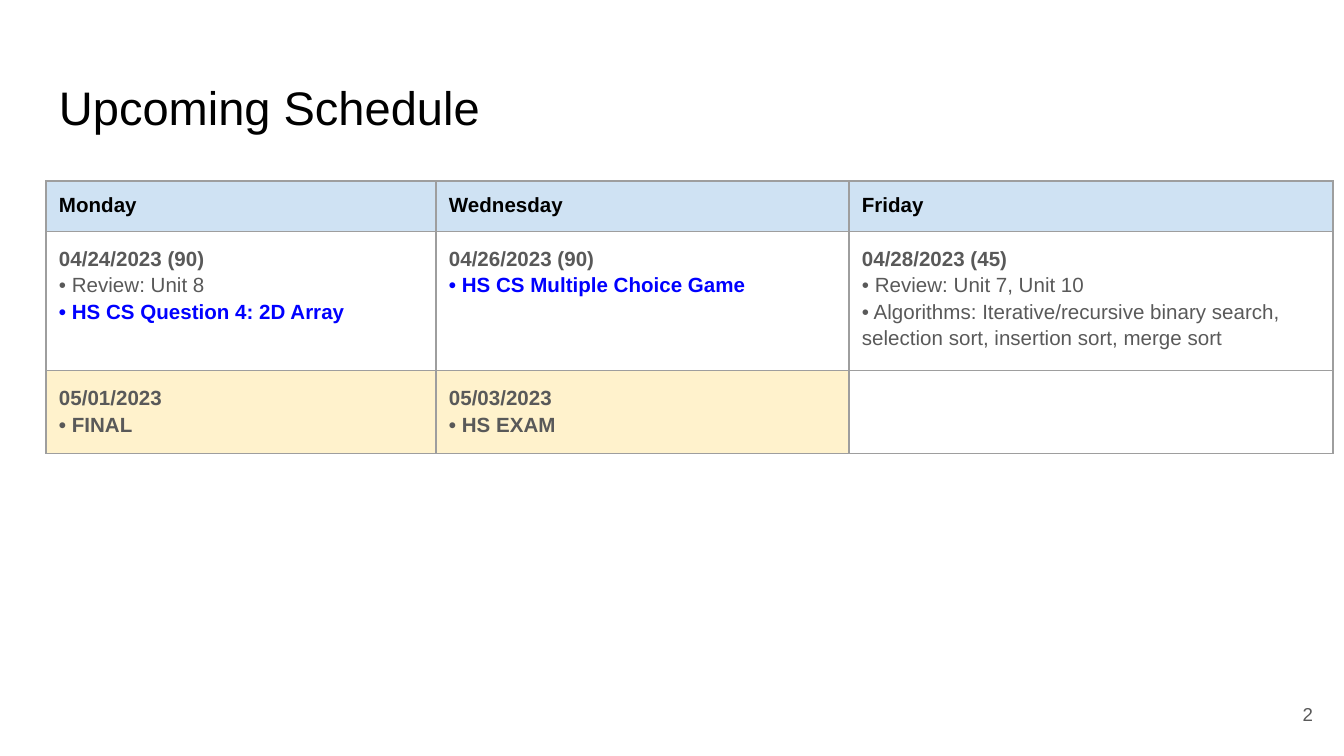
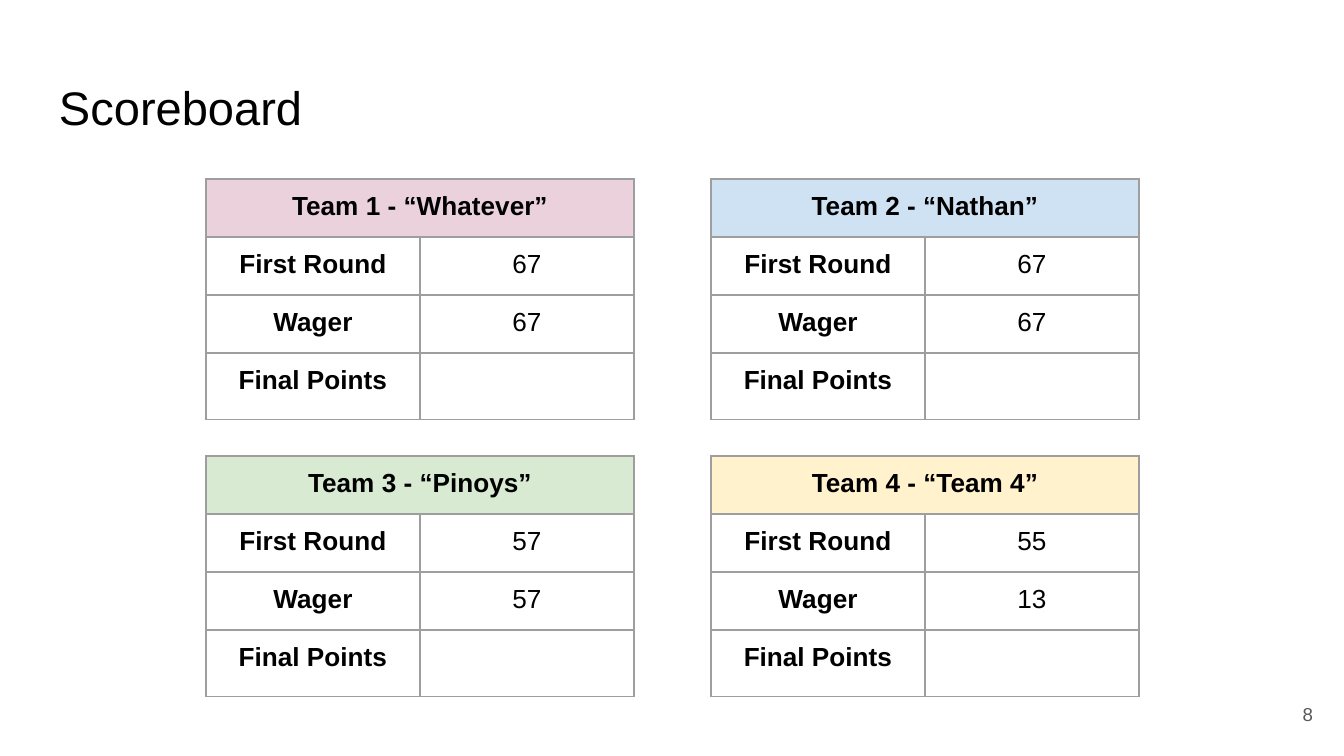
import copy

import pptx
import pptx.dml.color
import pptx.enum.text
import pptx.oxml
import pptx.oxml.ns
import pptx.util

RGBColor = pptx.dml.color.RGBColor
Align = pptx.enum.text.PP_ALIGN
Anchor = pptx.enum.text.MSO_ANCHOR

BLACK = RGBColor(0x00, 0x00, 0x00)
GRAY = RGBColor(0x59, 0x59, 0x59)
LINK_BLUE = RGBColor(0x00, 0x00, 0xFF)
BORDER = RGBColor(0x9E, 0x9E, 0x9E)
PINK = RGBColor(0xEA, 0xD1, 0xDC)
LIGHT_BLUE = RGBColor(0xCF, 0xE2, 0xF3)
GREEN = RGBColor(0xD9, 0xEA, 0xD3)
YELLOW = RGBColor(0xFF, 0xF2, 0xCC)

FONT = "Arial"
INSET = 13
LEFT_EDGE = 46
TITLE_ONLY = 5

WEEKDAYS = ["Monday", "Wednesday", "Friday"]
# Each day: fill, then (text, format) pieces.
WEEKS = [
    [
        (None, [("04/24/2023 (90)\n", {"bold": True}),
                ("• Review: Unit 8\n", {}),
                ("• HS CS Question 4: 2D Array", {"bold": True, "color": LINK_BLUE})]),
        (None, [("04/26/2023 (90)\n", {"bold": True}),
                ("• HS CS Multiple Choice Game", {"bold": True, "color": LINK_BLUE})]),
        (None, [("04/28/2023 (45)\n", {"bold": True}),
                ("• Review: Unit 7, Unit 10\n• Algorithms: Iterative/recursive binary search, "
                 "selection sort, insertion sort, merge sort", {})]),
    ],
    [
        (YELLOW, [("05/01/2023\n• FINAL", {"bold": True})]),
        (YELLOW, [("05/03/2023\n• HS EXAM", {"bold": True})]),
        (None, []),
    ],
]

# Team heading, heading fill, first round, wager.
TEAMS = [
    ("Team 1 - “Whatever”", PINK, "67", "67"),
    ("Team 2 - “Nathan”", LIGHT_BLUE, "67", "67"),
    ("Team 3 - “Pinoys”", GREEN, "57", "57"),
    ("Team 4 - “Team 4”", YELLOW, "55", "13"),
]


def px(length):
    """Turn pixels into EMU at 134.4 pixels to the inch."""
    return pptx.util.Emu(round(length * 914400 / 134.4))


def write_text(frame, text, size, color=BLACK, bold=False, align=Align.LEFT,
               line_spacing=None, space_after=None):
    """Append formatted text to the frame's paragraph; newlines become line breaks."""
    paragraph = frame.paragraphs[0]
    paragraph.alignment = align
    if line_spacing:
        paragraph.line_spacing = line_spacing
    if space_after:
        paragraph.space_after = pptx.util.Pt(space_after)
    for index, line in enumerate(text.split("\n")):
        if index:
            # A break takes the format of the line it ends, so it adds no height.
            paragraph.add_line_break()
            paragraph._p[-1].append(copy.deepcopy(run.font._rPr))
        if line:
            run = paragraph.add_run()
            run.text = line
            run.font.name = FONT
            run.font.size = pptx.util.Pt(size)
            run.font.bold = bold
            run.font.color.rgb = color


def set_insets(holder):
    """Give a text frame or table cell the common margin on all sides."""
    holder.margin_left = holder.margin_right = px(INSET)
    holder.margin_top = holder.margin_bottom = px(INSET)


def add_titled_slide(deck, heading, number):
    """Add a slide with its title and page number."""
    slide = deck.slides.add_slide(deck.slide_layouts[TITLE_ONLY])
    title = slide.shapes.title
    title.left, title.top, title.width, title.height = map(px, (LEFT_EDGE, 65, 1252, 84))
    title.text_frame.auto_size = pptx.enum.text.MSO_AUTO_SIZE.NONE
    title.text_frame.vertical_anchor = Anchor.TOP
    set_insets(title.text_frame)
    write_text(title.text_frame, heading, size=25.2)

    page = slide.shapes.add_textbox(*map(px, (1245, 685, 81, 58))).text_frame
    page.word_wrap = True
    page.vertical_anchor = Anchor.MIDDLE
    set_insets(page)
    write_text(page, number, size=10, color=GRAY, align=Align.RIGHT)
    return slide


def add_borders(cell):
    """Draw a thin line on the four sides of a cell."""
    properties = cell._tc.get_or_add_tcPr()
    namespace = pptx.oxml.ns.nsdecls("a")
    for side in ("lnL", "lnR", "lnT", "lnB"):
        properties.append(pptx.oxml.parse_xml(
            f'<a:{side} {namespace} w="{pptx.util.Pt(0.75)}"><a:solidFill>'
            f'<a:srgbClr val="{BORDER}"/></a:solidFill></a:{side}>'))


def fill_cell(cell, color):
    """Fill a cell with a colour, or clear it when there is none."""
    if color is None:
        cell.fill.background()
    else:
        cell.fill.solid()
        cell.fill.fore_color.rgb = color


def add_grid(slide, left, top, columns, rows):
    """Add a bordered table without banding, sized by its columns and rows."""
    table = slide.shapes.add_table(len(rows), len(columns), px(left), px(top),
                                   px(sum(columns)), px(sum(rows))).table
    table.first_row = table.horz_banding = False
    for column, width in zip(table.columns, columns):
        column.width = px(width)
    for row, height in zip(table.rows, rows):
        row.height = px(height)
    for cell in table.iter_cells():
        set_insets(cell)
        add_borders(cell)
        fill_cell(cell, None)
    return table


def add_schedule(slide):
    """Add the calendar of class days."""
    schedule = add_grid(slide, LEFT_EDGE, 181, [390, 413, 484], [44, 89, 78])
    for column, weekday in enumerate(WEEKDAYS):
        heading = schedule.cell(0, column)
        fill_cell(heading, LIGHT_BLUE)
        write_text(heading.text_frame, weekday, size=11, bold=True)
    for row, week in enumerate(WEEKS, start=1):
        for column, (color, pieces) in enumerate(week):
            day = schedule.cell(row, column)
            fill_cell(day, color)
            for text, style in pieces:
                write_text(day.text_frame, text, size=11, line_spacing=1.15,
                           space_after=12, **{"color": GRAY, **style})


def add_team(slide, left, top, team):
    """Add one team's score table."""
    name, color, first_round, wager = team
    scores = add_grid(slide, left, top, [214] * 2, [58] * 4)
    heading = scores.cell(0, 0)
    heading.merge(scores.cell(0, 1))
    fill_cell(heading, color)
    write_text(heading.text_frame, name, size=14, bold=True, align=Align.CENTER)
    entries = [("First Round", first_round), ("Wager", wager), ("Final Points", "")]
    for row, (label, points) in enumerate(entries, start=1):
        write_text(scores.cell(row, 0).text_frame, label, size=14, bold=True,
                   align=Align.CENTER)
        if points:
            write_text(scores.cell(row, 1).text_frame, points, size=14,
                       align=Align.CENTER)


def main():
    """Build the deck and save it."""
    deck = pptx.Presentation()
    deck.slide_width, deck.slide_height = px(1344), px(756)
    add_schedule(add_titled_slide(deck, "Upcoming Schedule", "2"))
    scoreboard = add_titled_slide(deck, "Scoreboard", "8")
    for index, team in enumerate(TEAMS):
        row, column = divmod(index, 2)
        add_team(scoreboard, 206 + 505 * column, 179 + 277 * row, team)
    deck.save("out.pptx")


main()
